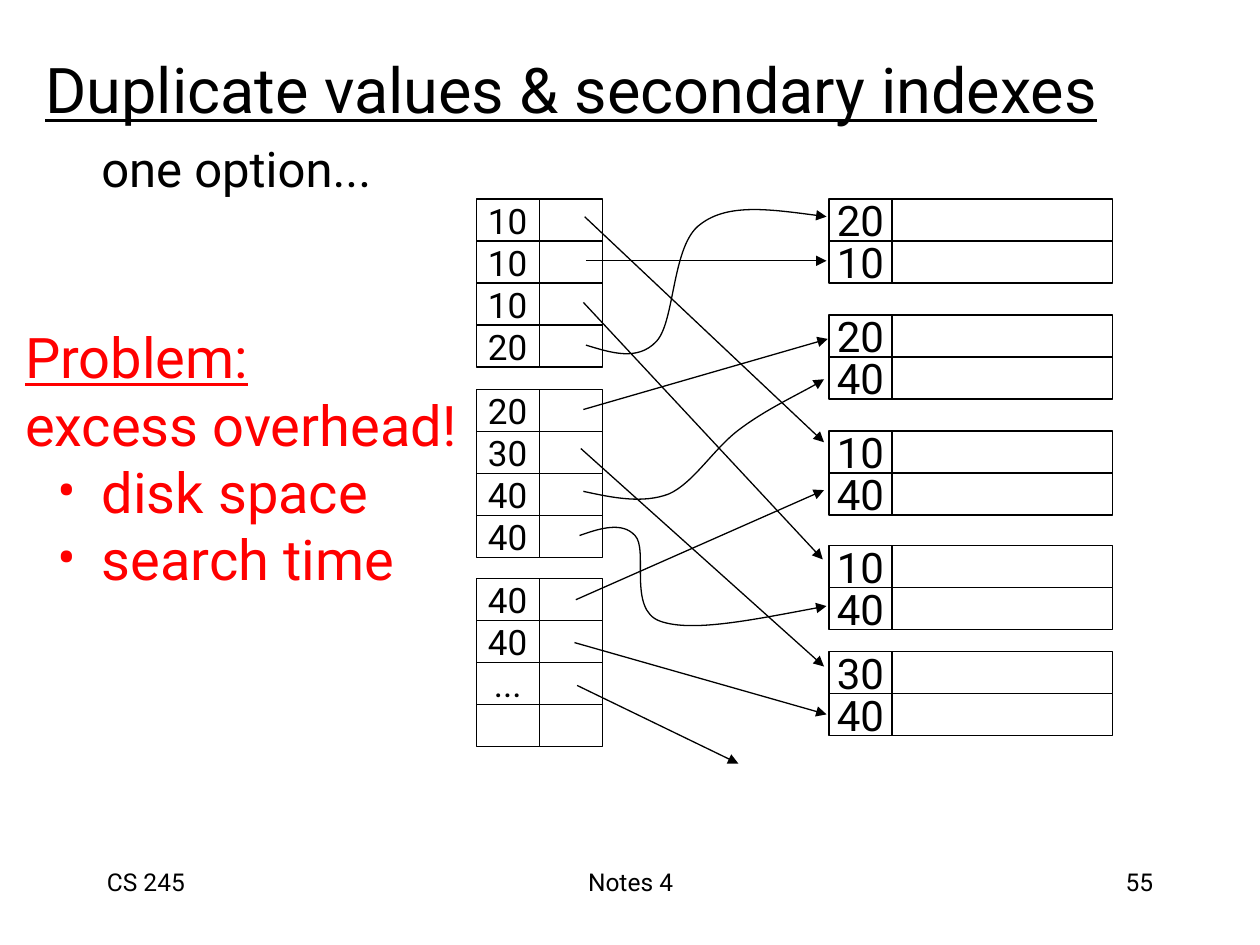
"""Build a slide on duplicate values in secondary indexes."""
from lxml import etree
from pptx import Presentation, util as u
from pptx.dml.color import RGBColor
from pptx.enum import shapes, text
from pptx.oxml import parse_xml
from pptx.oxml.ns import nsdecls, qn

hue = RGBColor.from_string
BLACK, WHITE, RED = "000000", "FFFFFF", "FF0000"
LEFT, MID, RIGHT = text.PP_ALIGN.LEFT, text.PP_ALIGN.CENTER, text.PP_ALIGN.RIGHT


def write(para, words, size, tint=BLACK, align=LEFT, under=False):
    para.text = words
    para.alignment = align
    font = para.font
    font.name, font.size, font.underline = "Roboto", u.Pt(size), under
    font.color.rgb = hue(tint)


def point(arrow):
    arrow.line.color.rgb = hue(BLACK)
    arrow.line.width = u.Pt(0.75)
    props = arrow._element.spPr
    props.find(qn("a:ln")).append(parse_xml(f'<a:tailEnd {nsdecls("a")} type="triangle"/>'))
    if props.find(qn("a:effectLst")) is None:
        props.append(parse_xml(f'<a:effectLst {nsdecls("a")}/>'))


deck = Presentation()
deck.slide_width, deck.slide_height = u.Inches(10), u.Inches(7.5)
slide = deck.slides.add_slide(deck.slide_layouts[5])

title = slide.shapes.title
title.left, title.top = u.Inches(0.26), u.Inches(0.21)
title.width, title.height = u.Inches(8.67), u.Inches(0.99)
title.text_frame.vertical_anchor = text.MSO_ANCHOR.MIDDLE
write(title.text_frame.paragraphs[0], "Duplicate values & secondary indexes", 36, under=True)

labels = [
    ("CS 245", 0.75, 6.83, 2.08, 0.5, 14, LEFT),
    ("Notes 4", 3.42, 6.83, 3.17, 0.5, 14, MID),
    ("55", 7.17, 6.83, 2.08, 0.5, 14, RIGHT),
    ("one option...", 0.63, 1.05, 2.49, 0.57, 28, MID),
]
for words, x, y, wide, high, size, align in labels:
    box = slide.shapes.add_textbox(u.Inches(x), u.Inches(y), u.Inches(wide), u.Inches(high))
    box.text_frame.word_wrap = True
    write(box.text_frame.paragraphs[0], words, size, align=align)

ROW = 1 / 3
KEY = 0.5
blocks = [
    (6.58, 1.58, 1.75, 24, ["20", "10"]),
    (6.58, 2.5, 1.75, 24, ["20", "40"]),
    (6.58, 3.42, 1.75, 24, ["10", "40"]),
    (6.58, 4.33, 1.75, 24, ["10", "40"]),
    (6.58, 5.17, 1.75, 24, ["30", "40"]),
    (3.78, 1.58, 0.5, 20, ["10", "10", "10", "20"]),
    (3.78, 3.09, 0.5, 20, ["20", "30", "40", "40"]),
    (3.78, 4.59, 0.5, 20, ["40", "40", "...", ""]),
]
for x, y, span, size, keys in blocks:
    block = slide.shapes.add_group_shape()
    for row, key in enumerate(keys):
        for left, wide, words in [(x, KEY, key), (x + KEY, span, "")]:
            cell = block.shapes.add_shape(
                shapes.MSO_SHAPE.RECTANGLE, u.Inches(left), u.Inches(y + row * ROW),
                u.Inches(wide), u.Inches(ROW))
            cell.shadow.inherit = False
            cell.fill.solid()
            cell.fill.fore_color.rgb = hue(WHITE)
            cell.line.color.rgb = hue(BLACK)
            cell.line.width = u.Pt(0.75)
            if words:
                frame = cell.text_frame
                frame.word_wrap = False
                frame.vertical_anchor = text.MSO_ANCHOR.MIDDLE
                write(frame.paragraphs[0], words, size, align=MID)

arrows = [
    (4.65, 2.07, 6.56, 2.07), (4.64, 1.72, 6.54, 3.51), (4.63, 2.4, 6.53, 4.44),
    (4.63, 3.25, 6.57, 2.69), (4.61, 3.56, 6.54, 5.29), (4.56, 5.1, 6.56, 5.67),
    (4.57, 4.76, 6.54, 3.89), (4.58, 5.44, 5.86, 6.06),
]
for ends in arrows:
    point(slide.shapes.add_connector(shapes.MSO_CONNECTOR.STRAIGHT, *map(u.Inches, ends)))

curves = [
    [(4.65, 2.74), (4.85, 2.8), (5.06, 2.87), (5.21, 2.71), (5.36, 2.55),
     (5.33, 1.94), (5.56, 1.78), (5.78, 1.61), (6.17, 1.67), (6.56, 1.72)],
    [(4.63, 3.9), (4.86, 3.95), (5.1, 4), (5.31, 3.92), (5.51, 3.83),
     (5.67, 3.55), (5.88, 3.4), (6.08, 3.25), (6.44, 3.08), (6.54, 3.01)],
    [(4.6, 4.25), (4.77, 4.19), (4.94, 4.14), (5.04, 4.25), (5.15, 4.36),
     (4.98, 4.84), (5.24, 4.93), (5.49, 5.02), (6.02, 4.91), (6.56, 4.81)],
]
for knots in curves:
    pen = slide.shapes.build_freeform(*map(u.Inches, knots[0]))
    pen.add_line_segments([tuple(map(u.Inches, knot)) for knot in knots[1:]], close=False)
    curve = pen.convert_to_shape()
    curve.shadow.inherit = False
    curve.fill.background()
    point(curve)
    sides = list(curve._element.spPr.iter(qn("a:lnTo")))
    route = sides[0].getparent()
    for start in range(0, len(sides), 3):
        bend = etree.SubElement(route, qn("a:cubicBezTo"))
        for side in sides[start:start + 3]:
            bend.append(side[0])
            route.remove(side)

box = slide.shapes.add_textbox(u.Inches(0.1), u.Inches(2.51), u.Inches(3.79), u.Inches(2.24))
frame = box.text_frame
frame.word_wrap = False
frame.vertical_anchor = text.MSO_ANCHOR.MIDDLE
lines = ["Problem:", "excess overhead!", "disk space", "search time"]
for i, words in enumerate(lines):
    para = frame.add_paragraph() if i else frame.paragraphs[0]
    if i > 1:
        para.level = 1
        props = para._p.get_or_add_pPr()
        props.set("marL", str(u.Inches(0.61)))
        props.set("indent", str(u.Inches(-0.35)))
        props.append(parse_xml(f'<a:buFont {nsdecls("a")} typeface="Roboto"/>'))
        props.append(parse_xml(f'<a:buChar {nsdecls("a")} char="•"/>'))
    write(para, words, 32, RED, under=i == 0)

deck.save("out.pptx")
